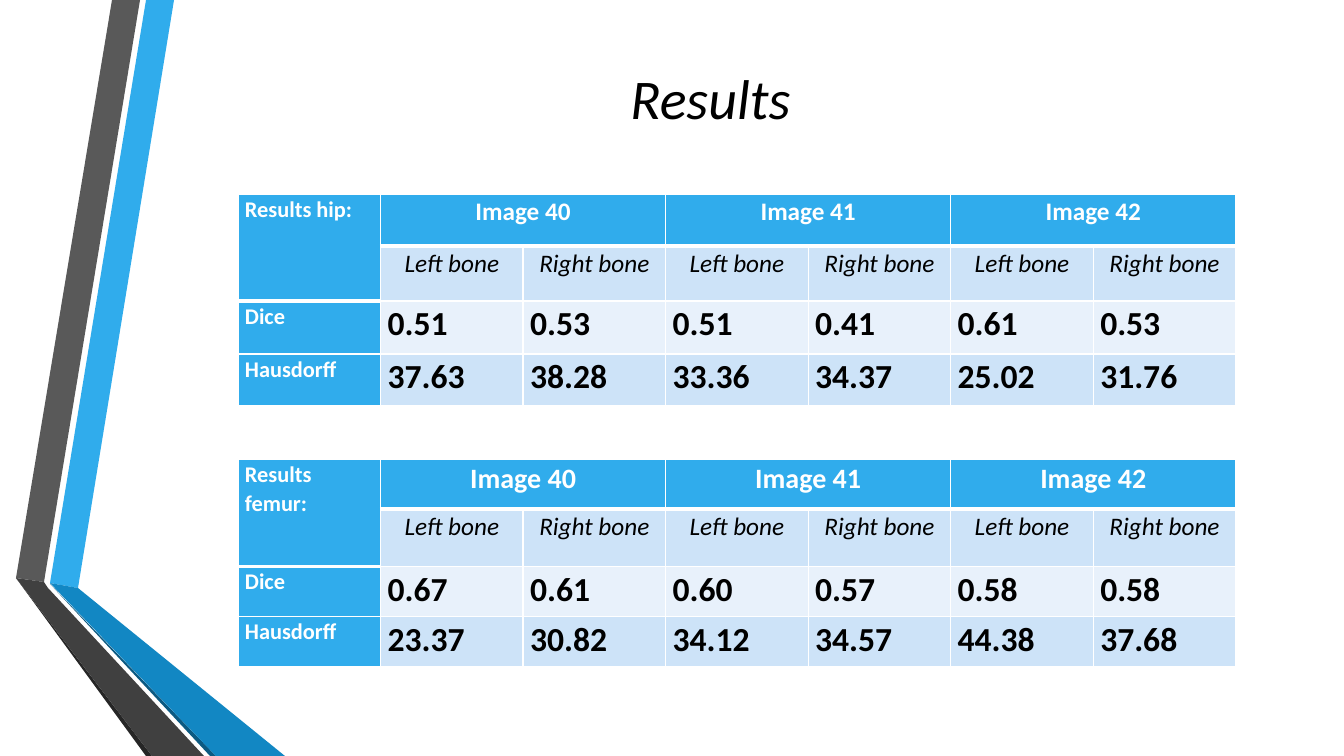
from lxml.etree import SubElement
from pptx import Presentation
from pptx.dml.color import RGBColor
from pptx.enum.text import MSO_ANCHOR, PP_ALIGN
from pptx.oxml.ns import qn
from pptx.util import Emu, Pt

EMU_PER_PIXEL = 914400 / 100.8
FONT = "Calibri"
COLORS = {
    "black": "000000", "white": "FFFFFF",
    "blue": "30ACEC", "blue_dark": "1287C3", "blue_edge": "0C5A82",
    "gray": "595959", "gray_dark": "404040", "gray_edge": "262626",
    "band_strong": "CDE3F8", "band_light": "E8F1FB",
}
RIBBONS = [
    ("blue", [(50, 583), (78, 588), (174, 0), (146, 0)]),
    ("gray", [(140, 0), (112, 0), (16, 578), (44, 582)]),
    ("gray_edge", [(16, 578), (146, 756), (152, 756)]),
    ("blue_edge", [(50, 584), (210, 756), (216, 756)]),
    ("blue_dark", [(50, 583), (216, 756), (285, 756), (78, 588)]),
    ("gray_dark", [(204, 756), (48, 588), (44, 582), (16, 578), (152, 756)]),
]
IMAGES = ["Image 40", "Image 41", "Image 42"]
BONES = ["Left bone", "Right bone"]
HIP = {
    "Dice": ["0.51", "0.53", "0.51", "0.41", "0.61", "0.53"],
    "Hausdorff": ["37.63", "38.28", "33.36", "34.37", "25.02", "31.76"],
}
FEMUR = {
    "Dice": ["0.67", "0.61", "0.60", "0.57", "0.58", "0.58"],
    "Hausdorff": ["23.37", "30.82", "34.12", "34.57", "44.38", "37.68"],
}
TITLE = {"size": Pt(40), "italic": True, "bold": False}
LABEL = {"size": Pt(16), "italic": False, "bold": True}
BONE = {"size": Pt(18), "italic": True, "bold": False}
VALUE = {"size": Pt(24), "italic": False, "bold": True}


def px(pixels):
    """Turn pixels into EMU."""
    return Emu(round(pixels * EMU_PER_PIXEL))


def rgb(color):
    """Look up a named colour."""
    return RGBColor.from_string(COLORS[color])


def write(frame, text, font_format, color, align):
    """Write one formatted paragraph and return it."""
    paragraph = frame.paragraphs[0]
    paragraph.alignment = align
    run = paragraph.add_run()
    run.text = text
    for name, value in {"name": FONT, **font_format}.items():
        setattr(run.font, name, value)
    run.font.color.rgb = rgb(color)
    return paragraph


def add_ribbons(slide, left, top):
    """Draw the folded gray and blue ribbons from the given corner."""
    for color, outline in RIBBONS:
        corners = [(left + x, top + y) for x, y in outline]
        builder = slide.shapes.build_freeform(*corners[0], scale=EMU_PER_PIXEL)
        builder.add_line_segments(corners[1:], close=True)
        ribbon = builder.convert_to_shape()
        ribbon.shadow.inherit = False
        ribbon.fill.solid()
        ribbon.fill.fore_color.rgb = rgb(color)
        ribbon.line.fill.background()


def add_title(slide, left, top, width, height):
    """Write the slide title centred in its box."""
    heading = slide.shapes.add_textbox(*map(px, (left, top, width, height)))
    heading.text_frame.word_wrap = True
    heading.text_frame.vertical_anchor = MSO_ANCHOR.MIDDLE
    write(heading.text_frame, "Results", TITLE, "black", PP_ALIGN.CENTER)


def set_borders(cell, top, bottom):
    """Give a cell white borders, with top and bottom widths in points."""
    properties = cell._tc.get_or_add_tcPr()
    for side, width in {"L": 1, "R": 1, "T": top, "B": bottom}.items():
        line = SubElement(properties, qn(f"a:ln{side}"), w=str(Pt(width)))
        fill = SubElement(line, qn("a:solidFill"))
        SubElement(fill, qn("a:srgbClr"), val=COLORS["white"])


def is_header(row, column):
    """Tell whether a cell belongs to the top header."""
    return row == 0 or (row == 1 and column == 0)


def cell_style(row, column, image_size, label_align):
    """Return font format, text colour, fill and alignment of a cell."""
    if column == 0:
        return LABEL, "white", "blue", label_align
    if row == 0:
        image_format = {**LABEL, "size": Pt(image_size)}
        return image_format, "white", "blue", PP_ALIGN.CENTER
    if row == 1:
        return BONE, "black", "band_strong", PP_ALIGN.CENTER
    band = "band_strong" if row % 2 else "band_light"
    return VALUE, "black", band, PP_ALIGN.JUSTIFY


def add_results(slide, left, top, width, row_heights, title, scores,
                image_size, label_align):
    """Build a table of scores for each image and bone."""
    image_row = [text for image in IMAGES for text in (image, "")]
    content = [[title, *image_row], ["", *BONES * len(IMAGES)]]
    content += [[measure, *values] for measure, values in scores.items()]
    box = map(px, (left, top, width, sum(row_heights)))
    table = slide.shapes.add_table(len(content), len(content[0]), *box).table
    for table_row, height in zip(table.rows, row_heights):
        table_row.height = px(height)

    margins = {"margin_left": px(7), "margin_right": px(7),
               "margin_top": 0, "margin_bottom": 0}
    for row, texts in enumerate(content):
        for column, text in enumerate(texts):
            cell = table.cell(row, column)
            font_format, color, fill, align = cell_style(
                row, column, image_size, label_align)
            for name, value in margins.items():
                setattr(cell, name, value)
            set_borders(cell,
                        top=3 if row and is_header(row - 1, column) else 1,
                        bottom=3 if is_header(row, column) else 1)
            cell.fill.solid()
            cell.fill.fore_color.rgb = rgb(fill)
            if text:
                paragraph = write(cell.text_frame, text, font_format, color, align)
                paragraph.line_spacing = 1.07
                paragraph.space_after = Pt(8)

    table.cell(0, 0).merge(table.cell(1, 0))
    for column in range(1, len(content[0]), len(BONES)):
        table.cell(0, column).merge(table.cell(0, column + 1))


def main():
    """Build the results slide."""
    deck = Presentation()
    deck.slide_width, deck.slide_height = px(1344), px(756)
    slide = deck.slides.add_slide(deck.slide_layouts[6])
    add_ribbons(slide, 0, 0)
    add_title(slide, 158, 0, 1105, 194)
    add_results(slide, 238, 194, 998, [52, 55, 53, 52], "Results hip:", HIP,
                18, PP_ALIGN.JUSTIFY)
    add_results(slide, 238, 459, 998, [50, 52, 50, 50], "Results femur:", FEMUR,
                20, PP_ALIGN.LEFT)
    deck.save("out.pptx")


main()
